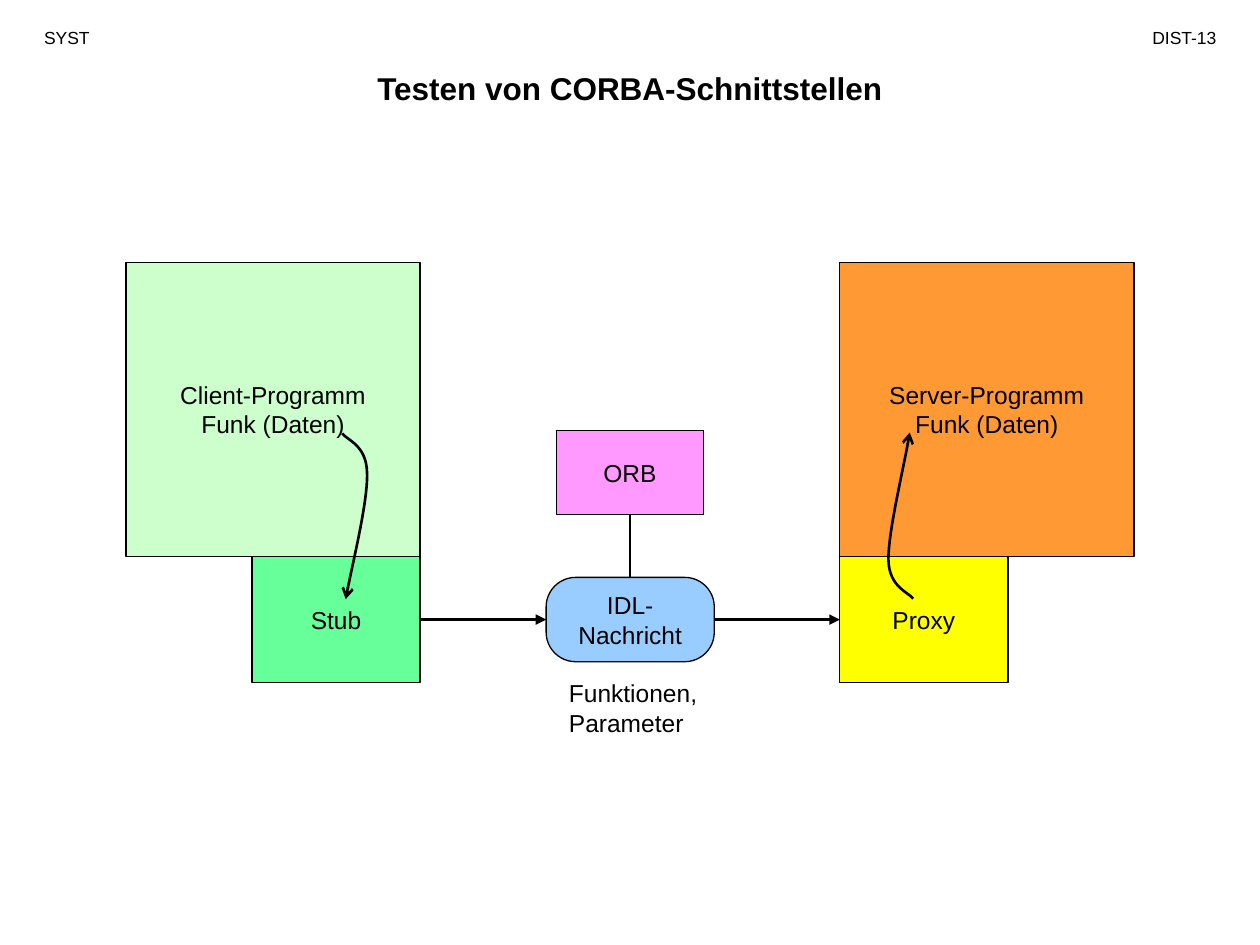
from lxml import etree
from pptx import Presentation
from pptx.dml.color import RGBColor
from pptx.enum.shapes import MSO_CONNECTOR, MSO_SHAPE
from pptx.enum.text import MSO_ANCHOR, PP_ALIGN
from pptx.oxml.ns import qn
from pptx.util import Cm, Pt

RECT, ROUND = MSO_SHAPE.RECTANGLE, MSO_SHAPE.ROUNDED_RECTANGLE
LEFT, MID, RIGHT = PP_ALIGN.LEFT, PP_ALIGN.CENTER, PP_ALIGN.RIGHT
MIDDLE = MSO_ANCHOR.MIDDLE
STRAIGHT = MSO_CONNECTOR.STRAIGHT

THEME = {
    "font": "Arial",
    "head": 18, "body": 14, "small": 10,
    "ink": RGBColor.from_string("000000"),
    "client": RGBColor.from_string("CCFFCC"),
    "server": RGBColor.from_string("FF9933"),
    "orb": RGBColor.from_string("FF99FF"),
    "idl": RGBColor.from_string("99CCFF"),
    "stub": RGBColor.from_string("66FF99"),
    "proxy": RGBColor.from_string("FFFF00"),
}


def write(par, text, size, align, bold=False):
    par.alignment = align
    for i, part in enumerate(text.split("\n")):
        if i:
            par.add_line_break()
        run = par.add_run()
        run.text = part
        run.font.name = THEME["font"]
        run.font.size = Pt(THEME[size])
        run.font.bold = bold
        run.font.color.rgb = THEME["ink"]


def stroke(shape, tip=None):
    shape.line.color.rgb = THEME["ink"]
    shape.line.width = Pt(1.5)
    if tip:
        line = shape.element.spPr.find(qn("a:ln"))
        etree.SubElement(line, qn("a:tailEnd"), type=tip)


deck = Presentation()
deck.slide_width, deck.slide_height = Cm(25.4), Cm(19.05)
slide = deck.slides.add_slide(deck.slide_layouts[6])
shapes = slide.shapes

labels = [
    ("Testen von CORBA-Schnittstellen", 5.08, 1.27, 15.24, 1.02, "head", MID, True),
    ("SYST", 0.64, 0.43, 2.34, 0.69, "small", LEFT, False),
    ("DIST-13", 22.23, 0.43, 2.54, 0.69, "small", RIGHT, False),
    ("Funktionen,\nParameter", 11.22, 13.55, 3.81, 1.45, "body", LEFT, False),
]
for text, x, y, w, h, size, align, bold in labels:
    frame = shapes.add_textbox(Cm(x), Cm(y), Cm(w), Cm(h)).text_frame
    frame.word_wrap = True
    write(frame.paragraphs[0], text, size, align, bold)

boxes = [
    ("client", ["Client-Programm", "Funk (Daten)"], RECT, 2.54, 5.29, 5.93, 5.93),
    ("server", ["Server-Programm", "Funk (Daten)"], RECT, 16.93, 5.29, 5.93, 5.93),
    ("orb", ["ORB"], RECT, 11.22, 8.68, 2.96, 1.7),
    ("idl", ["IDL-", "Nachricht"], ROUND, 11.01, 11.64, 3.39, 1.7),
    ("stub", ["Stub"], RECT, 5.08, 11.22, 3.39, 2.54),
    ("proxy", ["Proxy"], RECT, 16.93, 11.22, 3.39, 2.54),
]
for key, lines, kind, x, y, w, h in boxes:
    box = shapes.add_shape(kind, Cm(x), Cm(y), Cm(w), Cm(h))
    box.shadow.inherit = False
    box.fill.solid()
    box.fill.fore_color.rgb = THEME[key]
    box.line.color.rgb = THEME["ink"]
    box.line.width = Pt(0.75)
    if kind == ROUND:
        box.adjustments[0] = 0.35
    frame = box.text_frame
    frame.word_wrap = False
    frame.vertical_anchor = MIDDLE
    for i, text in enumerate(lines):
        par = frame.add_paragraph() if i else frame.paragraphs[0]
        write(par, text, "body", MID)

curves = [
    [(6.9, 8.74), (6.99, 8.87), (7.39, 8.97), (7.4, 9.53),
     (7.42, 10.08), (7.06, 11.56), (6.97, 12.08)],
    [(18.41, 12.07), (18.32, 11.94), (17.92, 11.84), (17.91, 11.28),
     (17.91, 10.72), (18.26, 9.25), (18.34, 8.72)],
]
for dots in curves:
    dots = [(Cm(x), Cm(y)) for x, y in dots]
    pen = shapes.build_freeform(*dots[0])
    pen.add_line_segments(dots[1:], close=False)
    curve = pen.convert_to_shape()
    curve.shadow.inherit = False
    curve.fill.background()
    stroke(curve, "arrow")
    steps = list(curve.element.iter(qn("a:lnTo")))
    for i in range(0, len(steps), 3):
        bend = etree.Element(qn("a:cubicBezTo"))
        steps[i].addprevious(bend)
        for step in steps[i:i + 3]:
            bend.append(step[0])
            step.getparent().remove(step)

links = [
    (12.7, 10.38, 12.7, 11.64, None),
    (8.47, 12.49, 11.01, 12.49, "triangle"),
    (14.4, 12.49, 16.93, 12.49, "triangle"),
]
for x, y, to_x, to_y, tip in links:
    link = shapes.add_connector(STRAIGHT, Cm(x), Cm(y), Cm(to_x), Cm(to_y))
    stroke(link, tip)
    etree.SubElement(link.element.spPr, qn("a:effectLst"))

deck.save("out.pptx")
